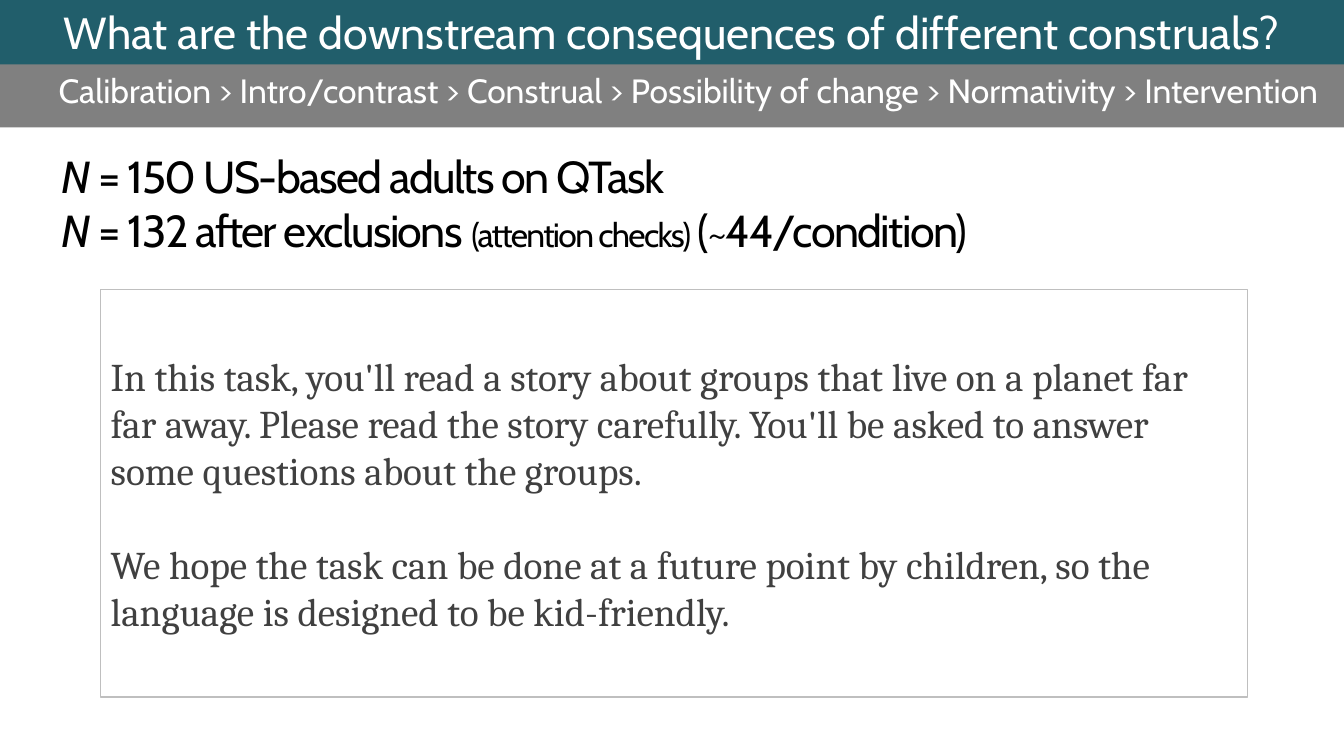
from dataclasses import dataclass

from pptx import Presentation
from pptx.dml.color import RGBColor as Rgb
from pptx.enum.shapes import MSO_SHAPE as Preset
from pptx.enum.text import MSO_ANCHOR as Anchor, PP_ALIGN as Align
from pptx.util import Pt


@dataclass(frozen=True)
class Theme:
    teal: str = "215E6B"
    gray: str = "808080"
    border: str = "BFBFBF"
    white: str = "FFFFFF"
    black: str = "000000"
    ink: str = "404040"
    sans: str = "Cabin"
    serif: str = "Cambria"
    heading: int = 32
    story: int = 28
    small: int = 24


def add_run(paragraph, text, *, size, font, color, italic=False, tracking=None):
    run = paragraph.add_run()
    run.text = text
    run.font.size = Pt(size)
    run.font.name = font
    run.font.color.rgb = Rgb.from_string(color)
    run.font.italic = italic
    if tracking is not None:
        run._r.get_or_add_rPr().set("spc", str(round(tracking * 100)))


class SlideBuilder:
    def __init__(self, slide, theme):
        self.slide = slide
        self.theme = theme

    def fill_text(self, frame, paragraphs, *, align=Align.LEFT, anchor=Anchor.TOP,
                  gap=0, indent=0, line_spacing=None, **style):
        frame.word_wrap = True
        frame.vertical_anchor = anchor
        for index, pieces in enumerate(paragraphs):
            paragraph = frame.add_paragraph() if index else frame.paragraphs[0]
            paragraph.alignment = align
            if indent:
                paragraph._p.get_or_add_pPr().set("marL", str(Pt(indent)))
            if line_spacing:
                paragraph.line_spacing = line_spacing
            if index and gap:
                paragraph.space_before = Pt(gap)
            for text, changes in pieces:
                add_run(paragraph, text, **{**style, **changes})

    def panel(self, box, paragraphs, *, fill=None, line=None, **style):
        panel = self.slide.shapes.add_shape(Preset.RECTANGLE, *map(Pt, box))
        panel.shadow.inherit = False
        if fill:
            panel.fill.solid()
            panel.fill.fore_color.rgb = Rgb.from_string(fill)
        else:
            panel.fill.background()
        if line:
            panel.line.color.rgb = Rgb.from_string(line)
            panel.line.width = Pt(1)
        else:
            panel.line.fill.background()
        self.fill_text(panel.text_frame, paragraphs, **style)

    def text(self, box, paragraphs, **style):
        text_box = self.slide.shapes.add_textbox(*map(Pt, box))
        self.fill_text(text_box.text_frame, paragraphs, **style)


def main():
    deck = Presentation()
    deck.slide_width, deck.slide_height = Pt(960), Pt(540)
    theme = Theme()
    builder = SlideBuilder(deck.slides.add_slide(deck.slide_layouts[6]), theme)

    sections = ["Calibration", "Intro/contrast", "Construal",
                "Possibility of change", "Normativity", "Intervention"]
    builder.panel((0, 42, 963.5, 49), [[(" > ".join(sections), {})]],
                  fill=theme.gray, align=Align.CENTER, anchor=Anchor.MIDDLE,
                  indent=20, line_spacing=0.85,
                  size=theme.small, font=theme.sans, color=theme.white)

    question = "What are the downstream consequences of different construals?"
    builder.panel((0, 0, 960, 46), [[(question, {})]],
                  fill=theme.teal, align=Align.CENTER,
                  size=theme.heading, font=theme.sans, color=theme.white)

    sample_symbol = ("N ", {"italic": True})
    sample = [
        [sample_symbol, ("= 150 US-based adults on QTask", {})],
        [sample_symbol, ("= 132 after exclusions ", {}),
         ("(attention checks) ", {"size": theme.small}),
         ("(~44/condition)", {})],
    ]
    builder.text((36.5, 102.5, 866, 84), sample, tracking=-1.2,
                 size=theme.heading, font=theme.sans, color=theme.black)

    instructions = [
        "In this task, you'll read a story about groups that live on a planet "
        "far far away. Please read the story carefully. You'll be asked to "
        "answer some questions about the groups.",
        "We hope the task can be done at a future point by children, so the "
        "language is designed to be kid-friendly.",
    ]
    builder.panel((72, 207, 819, 291), [[(part, {})] for part in instructions],
                  line=theme.border, anchor=Anchor.MIDDLE, gap=33.5,
                  size=theme.story, font=theme.serif, color=theme.ink)

    deck.save("out.pptx")


if __name__ == "__main__":
    main()
